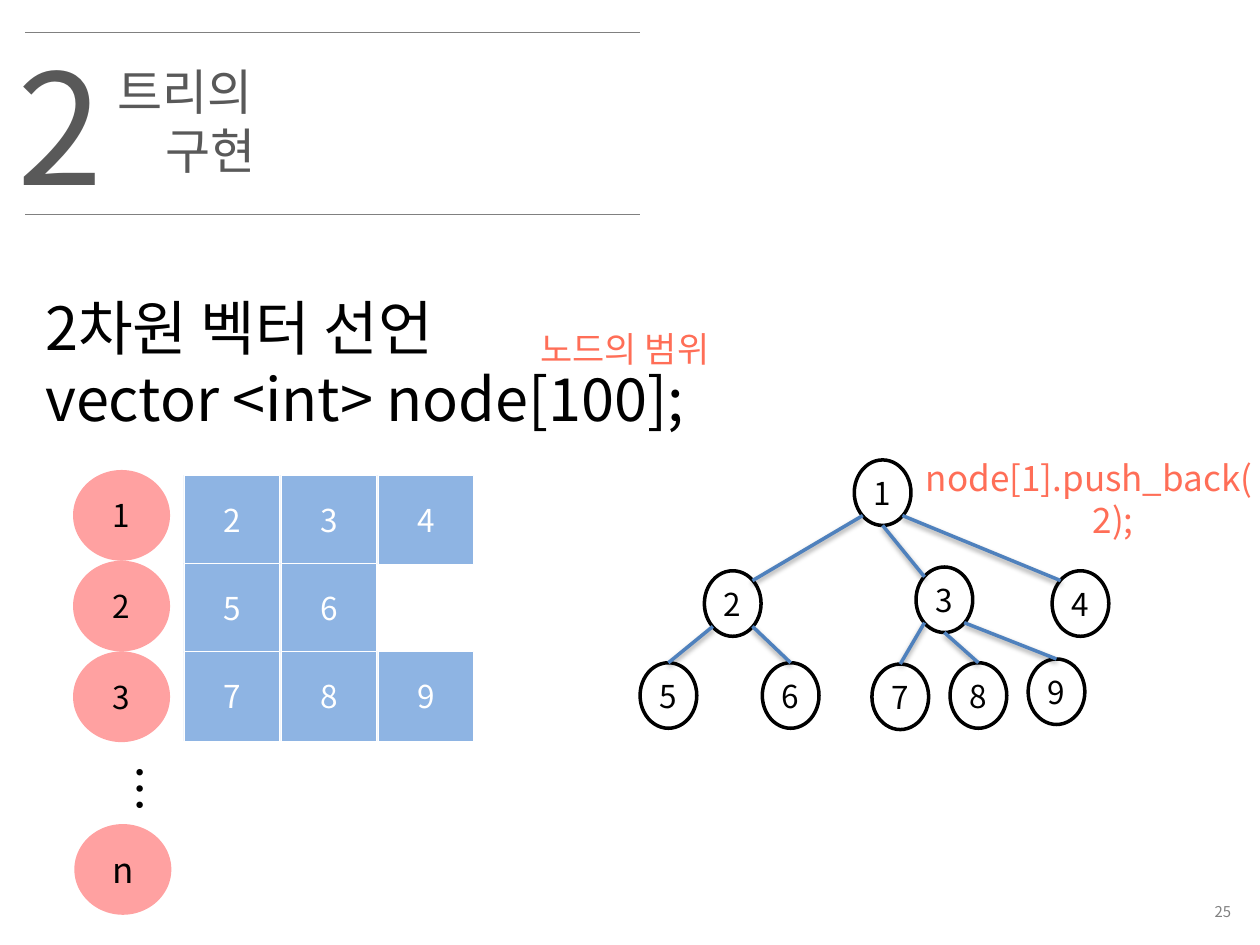
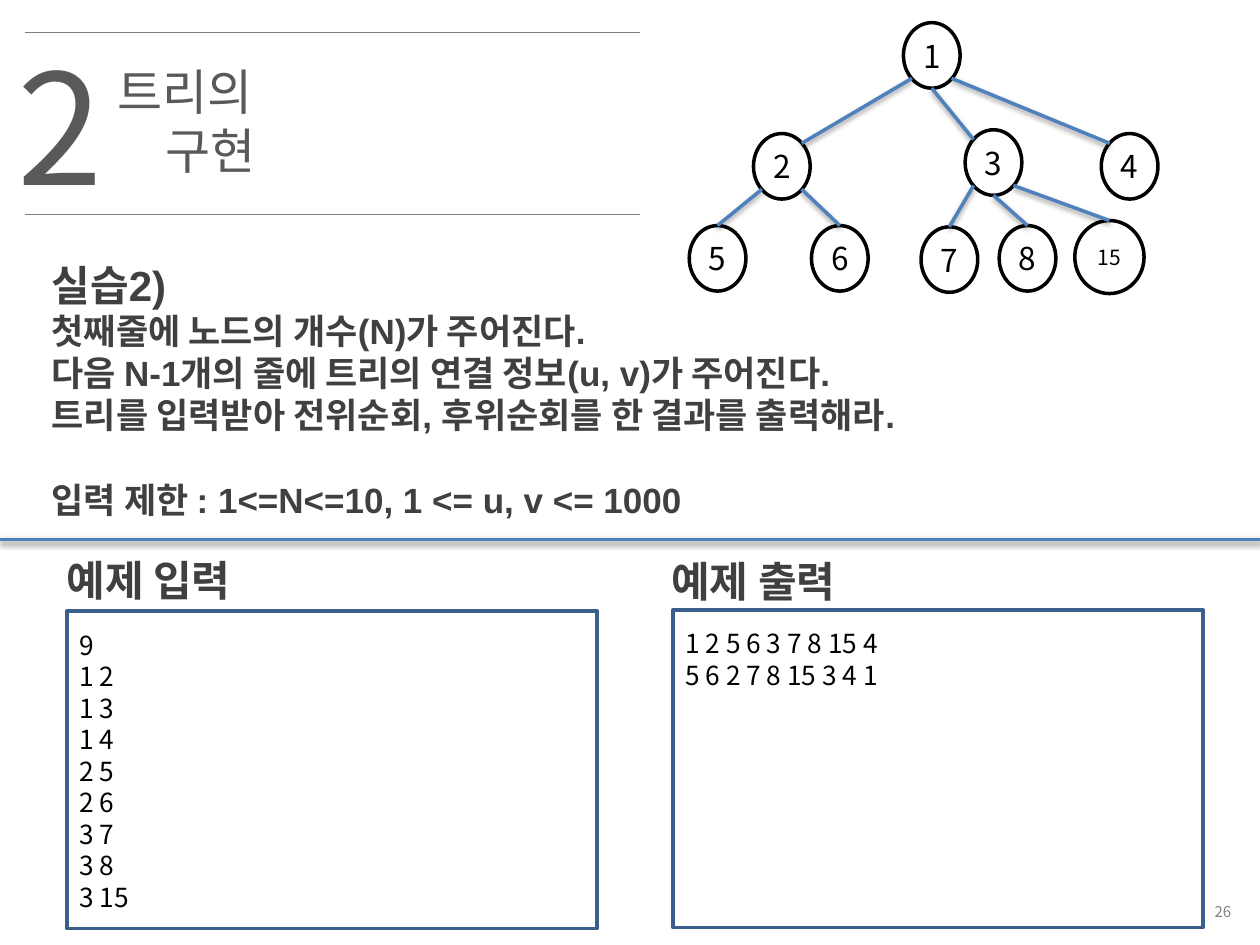
from lxml.etree import SubElement
from pptx import Presentation
from pptx.dml.color import RGBColor
from pptx.enum.shapes import MSO_CONNECTOR, MSO_SHAPE
from pptx.enum.text import MSO_ANCHOR, MSO_AUTO_SIZE, PP_ALIGN
from pptx.oxml.ns import qn
from pptx.util import Inches, Pt

# Shared style
KOREAN, LATIN = "Noto Sans CJK KR", "Arial"
BLACK, WHITE, GREY, RULE = "000000", "FFFFFF", "595959", "808080"
BLUE, CELL, FRAME = "4F81BD", "8EB4E3", "3A5F8C"
RED, CORAL, DARK = "FF0000", "FF6E57", "404040"
HANG = 0.38
FIRST_NUMBER = 25

# Tree: node offsets from the root, and edges with the side each one leaves and meets
NODE_W, NODE_H = 0.45, 0.52
NODES = {"1": (0, 0), "2": (-1.19, 0.88), "3": (0.49, 0.85), "4": (1.57, 0.88),
         "5": (-1.7, 1.61), "6": (-0.73, 1.61), "7": (0.14, 1.62), "8": (0.76, 1.61)}
EDGES = [("1", "BL", "2", "TR"), ("1", "B", "3", "TL"), ("1", "BR", "4", "TL"),
         ("2", "BL", "5", "T"), ("2", "BR", "6", "T"),
         ("3", "BL", "7", "T"), ("3", "B", "8", "T")]
DIAGONAL = 0.35
SIDES = {"T": (0, -0.5), "B": (0, 0.5), "TL": (-DIAGONAL, -DIAGONAL),
         "TR": (DIAGONAL, -DIAGONAL), "BL": (-DIAGONAL, DIAGONAL), "BR": (DIAGONAL, DIAGONAL)}


def rgb(color):
    return RGBColor.from_string(color)


def inches(*lengths):
    return [Inches(v) for v in lengths]


def style_font(p, size, color, font=KOREAN, bold=False):
    for r in p.runs:
        r.font.size, r.font.name, r.font.bold = Pt(size), font, bold
        r.font.color.rgb = rgb(color)


def write(tf, lines, size, color=BLACK, font=KOREAN, bold=False, align=PP_ALIGN.LEFT,
          anchor=MSO_ANCHOR.TOP, hang=0):
    tf.auto_size, tf.word_wrap, tf.vertical_anchor = MSO_AUTO_SIZE.NONE, True, anchor
    tf.text = "\n".join(lines)
    for p in tf.paragraphs:
        pPr = p._p.get_or_add_pPr()
        pPr.set("marL", str(Inches(hang)))
        pPr.set("indent", str(-Inches(hang)))
        SubElement(pPr, qn("a:buNone"))
        p.alignment, p.space_before = align, Pt(0)
        style_font(p, size, color, font, bold)


def place(sp, x, y, w, h):
    sp.left, sp.top, sp.width, sp.height = inches(x, y, w, h)


def add_text(s, at, text, size, **style):
    sp = s.shapes.add_textbox(*inches(*at))
    write(sp.text_frame, [text], size, **style)
    return sp


def add_box(s, kind, at, fill=None, line=None, width=2.0):
    sp = s.shapes.add_shape(kind, *inches(*at))
    sp.shadow.inherit = False
    if fill:
        sp.fill.solid()
        sp.fill.fore_color.rgb = rgb(fill)
    else:
        sp.fill.background()
    if line:
        sp.line.color.rgb, sp.line.width = rgb(line), Pt(width)
    else:
        sp.line.fill.background()
    return sp


def add_label(sp, text, size=18, color=BLACK):
    tf = sp.text_frame
    tf.margin_left = tf.margin_right = 0
    write(tf, [text], size, color, align=PP_ALIGN.CENTER, anchor=MSO_ANCHOR.MIDDLE)


def add_line(s, start, end, color=BLUE, width=2.0, shadow=True):
    line = s.shapes.add_connector(MSO_CONNECTOR.STRAIGHT, *inches(*start, *end))
    line.line.color.rgb, line.line.width = rgb(color), Pt(width)
    effects = SubElement(line._element.spPr, qn("a:effectLst"))
    if shadow:
        shade = SubElement(effects, qn("a:outerShdw"), blurRad=str(Pt(3.1)), dist=str(Pt(1.6)),
                           dir="5400000", rotWithShape="0")
        shade_color = SubElement(shade, qn("a:srgbClr"), val=BLACK)
        SubElement(shade_color, qn("a:alpha"), val="38000")


def add_page_number(s, number):
    sp = add_text(s, (7.76, 7.1, 2.11, 0.27), str(number), 8.5, color=RULE,
                  align=PP_ALIGN.RIGHT, anchor=MSO_ANCHOR.MIDDLE)
    r = sp.text_frame.paragraphs[0].runs[0]._r
    r.tag = qn("a:fld")
    r.set("id", "{B6F15528-21DE-4FAA-801E-634DDDAF4B2B}")
    r.set("type", "slidenum")


def add_section_slide(prs, number):
    """Slide with the chapter heading between two rules and a page number."""
    s = prs.slides.add_slide(prs.slide_layouts[1])
    place(s.shapes.title, 0.83, 0.44, 1.97, 1.1)
    write(s.shapes.title.text_frame, ["트리의 구현"], 28, GREY, hang=HANG)
    add_text(s, (0.04, 0.2, 0.79, 1.58), "2", 88, color=GREY, hang=HANG)
    for y in (0.26, 1.7):
        add_line(s, (0.2, y), (5.08, y), RULE, 0.75, shadow=False)
    add_page_number(s, number)
    return s


def add_tree(s, left, top, last, last_at, last_size=(NODE_W, NODE_H), last_font=18):
    """Draw the tree with its root at left, top; the last leaf varies by slide."""
    nodes = {name: (left + dx, top + dy, NODE_W, NODE_H) for name, (dx, dy) in NODES.items()}
    nodes[last] = (left + last_at[0], top + last_at[1], *last_size)
    for name, at in nodes.items():
        add_label(add_box(s, MSO_SHAPE.OVAL, at, line=BLACK), name,
                  last_font if name == last else 18)

    def site(name, side):
        x, y, w, h = nodes[name]
        dx, dy = SIDES[side]
        return x + w * (0.5 + dx), y + h * (0.5 + dy)

    for parent, out, child, into in EDGES + [("3", "BR", last, "T")]:
        add_line(s, site(parent, out), site(child, into))


def add_index(s, text, x, y, size=18):
    sp = add_box(s, MSO_SHAPE.OVAL, (x, y, 0.77, 0.72), fill=RED)
    SubElement(sp.fill._xPr.find(qn("a:solidFill"))[0], qn("a:alpha"), val="37000")
    add_label(sp, text, size)


def add_vector_rows(s, rows):
    for i, row in enumerate(rows):
        add_index(s, str(i + 1), 0.58, 3.73 + 0.72 * i)
        for j, value in enumerate(row):
            cell = add_box(s, MSO_SHAPE.RECTANGLE,
                           (1.46 + 0.77 * j, 3.77 + 0.7 * i, 0.76, 0.71), CELL, WHITE, 0.25)
            add_label(cell, value, color=WHITE)


def add_example(s, x, y, title_at, title, lines):
    add_text(s, (*title_at, 1.89, 0.5), title, 24, color=DARK, font=LATIN, bold=True)
    tf = add_box(s, MSO_SHAPE.RECTANGLE, (x, y, 4.21, 2.52), line=FRAME).text_frame
    tf.margin_top = Inches(0.14)
    write(tf, lines, 15)


def vector_slide(prs):
    s = add_section_slide(prs, FIRST_NUMBER)
    add_tree(s, 6.78, 3.65, "9", (1.38, 1.58))
    body = s.placeholders[1]
    place(body, 0.26, 2.26, 5.84, 1.25)
    write(body.text_frame, ["2차원 벡터 선언", "vector <int> node[100];"], 34)

    # Vector contents, row by row
    add_vector_rows(s, ["234", "56", "789"])
    add_index(s, "n", 0.59, 6.54, 20)
    add_text(s, (0.86, 5.94, 0.51, 0.57), "…", 28).rotation = 90

    # Callouts
    for at, note in [((7.23, 3.57, 2.83, 0.8), "node[1].push_back(2);"),
                     ((4.09, 2.55, 1.74, 0.44), "노드의 범위")]:
        add_text(s, at, note, 20, color=CORAL, align=PP_ALIGN.CENTER, hang=HANG)


def exercise_slide(prs):
    s = add_section_slide(prs, FIRST_NUMBER + 1)
    body = s.placeholders[1]
    place(body, 0.31, 2.01, 9.53, 2.19)
    write(body.text_frame, ["실습2)", "첫째줄에 노드의 개수(N)가 주어진다.",
                            "다음 N-1개의 줄에 트리의 연결 정보(u, v)가 주어진다.",
                            "트리를 입력받아 전위순회, 후위순회를 한 결과를 출력해라.",
                            "입력 제한 : 1<=N<=10, 1 <= u, v <= 1000"],
          20, DARK, LATIN, bold=True)
    heading, *_, limits = body.text_frame.paragraphs
    heading.runs[0].font.size = Pt(24)
    limits.space_before = Pt(24)

    # Examples below the divider
    add_line(s, (0, 4.28), (10, 4.28))
    add_example(s, 0.53, 4.85, (0.43, 4.35), "예제 입력",
                ["9", "1 2", "1 3", "1 4", "2 5", "2 6", "3 7", "3 8", "3 15"])
    add_example(s, 5.34, 4.84, (5.23, 4.36), "예제 출력",
                ["1 2 5 6 3 7 8 15 4", "5 6 2 7 8 15 3 4 1"])
    add_tree(s, 7.17, 0.18, "15", (1.36, 1.57), (0.55, 0.58), 12)


def main():
    prs = Presentation()
    prs.slide_width, prs.slide_height = inches(10, 7.5)
    prs.element.set("firstSlideNum", str(FIRST_NUMBER))
    vector_slide(prs)
    exercise_slide(prs)
    prs.save("out.pptx")


if __name__ == "__main__":
    main()
